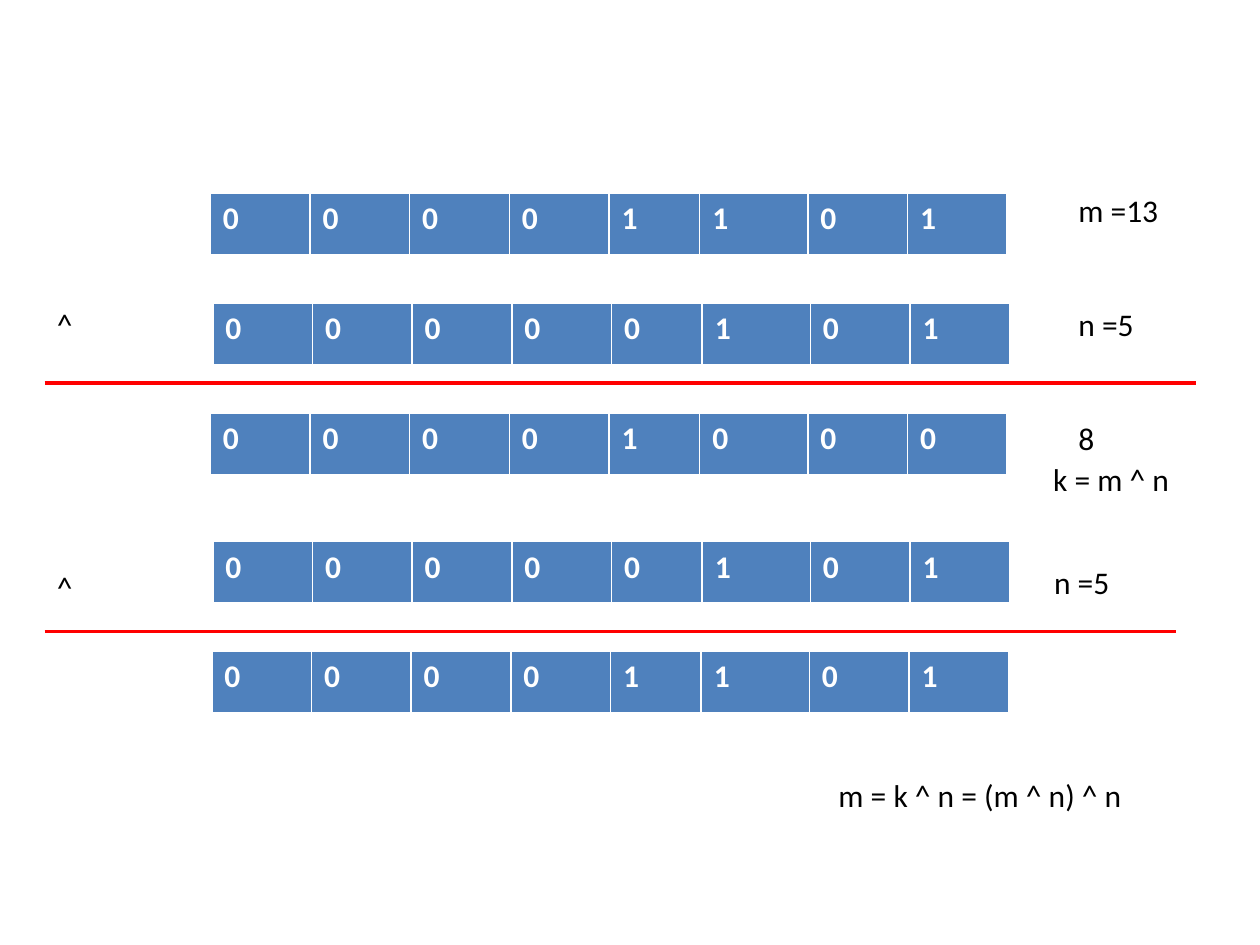
from lxml import etree
from pptx import Presentation
from pptx.dml.color import RGBColor
from pptx.enum.shapes import MSO_CONNECTOR
from pptx.enum.text import MSO_AUTO_SIZE
from pptx.oxml.ns import qn
from pptx.util import Cm, Pt

STRAIGHT = MSO_CONNECTOR.STRAIGHT
GROW = MSO_AUTO_SIZE.SHAPE_TO_FIT_TEXT
COLORS = {"bit": "4F81BD", "bit_text": "FFFFFF", "rule": "FF0000", "text": "000000"}


def style(paragraph, color, bold=False):
    font = paragraph.font
    font.name = "Calibri"
    font.size = Pt(18)
    font.bold = bold
    font.color.rgb = RGBColor.from_string(COLORS[color])


prs = Presentation()
prs.slide_width, prs.slide_height = Cm(25.4), Cm(19.05)
slide = prs.slides.add_slide(prs.slide_layouts[6])

# Bit rows: bits, left, top
bit_widths = [2.01] * 4 + [1.83, 2.18] + [2.01] * 2
bit_height = 1.24
bit_rows = [
    ("00001101", 4.24, 3.89),
    ("00000101", 4.29, 6.12),
    ("00001000", 4.24, 8.33),
    ("00000101", 4.29, 10.92),
    ("00001101", 4.27, 13.13),
]
for bits, left, top in bit_rows:
    table = slide.shapes.add_table(
        1, len(bits), Cm(left), Cm(top), Cm(sum(bit_widths)), Cm(bit_height)
    ).table
    for column, (bit, width) in enumerate(zip(bits, bit_widths)):
        table.columns[column].width = Cm(width)
        cell = table.cell(0, column)
        cell.text = bit
        cell.fill.solid()
        cell.fill.fore_color.rgb = RGBColor.from_string(COLORS["bit"])
        style(cell.text_frame.paragraphs[0], "bit_text", bold=True)

# Red rules above each result: y, right end
for y, right in [(7.72, 24.1), (12.73, 23.7)]:
    rule = slide.shapes.add_connector(STRAIGHT, Cm(0.9), Cm(y), Cm(right), Cm(y))
    rule.line.color.rgb = RGBColor.from_string(COLORS["rule"])
    rule.line.width = Pt(2.25)
    etree.SubElement(rule._element.spPr, qn("a:effectLst"))

# Operators, values and formulas: text, left, top, width
labels = [
    ("m =13", 21.49, 3.73, 2.2),
    ("n =5", 21.49, 6.02, 2.2),
    ("^", 0.9, 6.02, 3.4),
    ("8", 21.49, 8.33, 2.2),
    ("k = m ^ n", 20.98, 9.14, 4.42),
    ("^", 0.9, 11.33, 1.7),
    ("n =5", 21, 11.23, 2.2),
    (" m = k ^ n = (m ^ n) ^ n", 16.51, 15.52, 7.2),
]
for text, left, top, width in labels:
    frame = slide.shapes.add_textbox(Cm(left), Cm(top), Cm(width), Cm(1.03)).text_frame
    frame.word_wrap = True
    frame.auto_size = GROW
    frame.text = text
    style(frame.paragraphs[0], "text")

prs.save("out.pptx")
